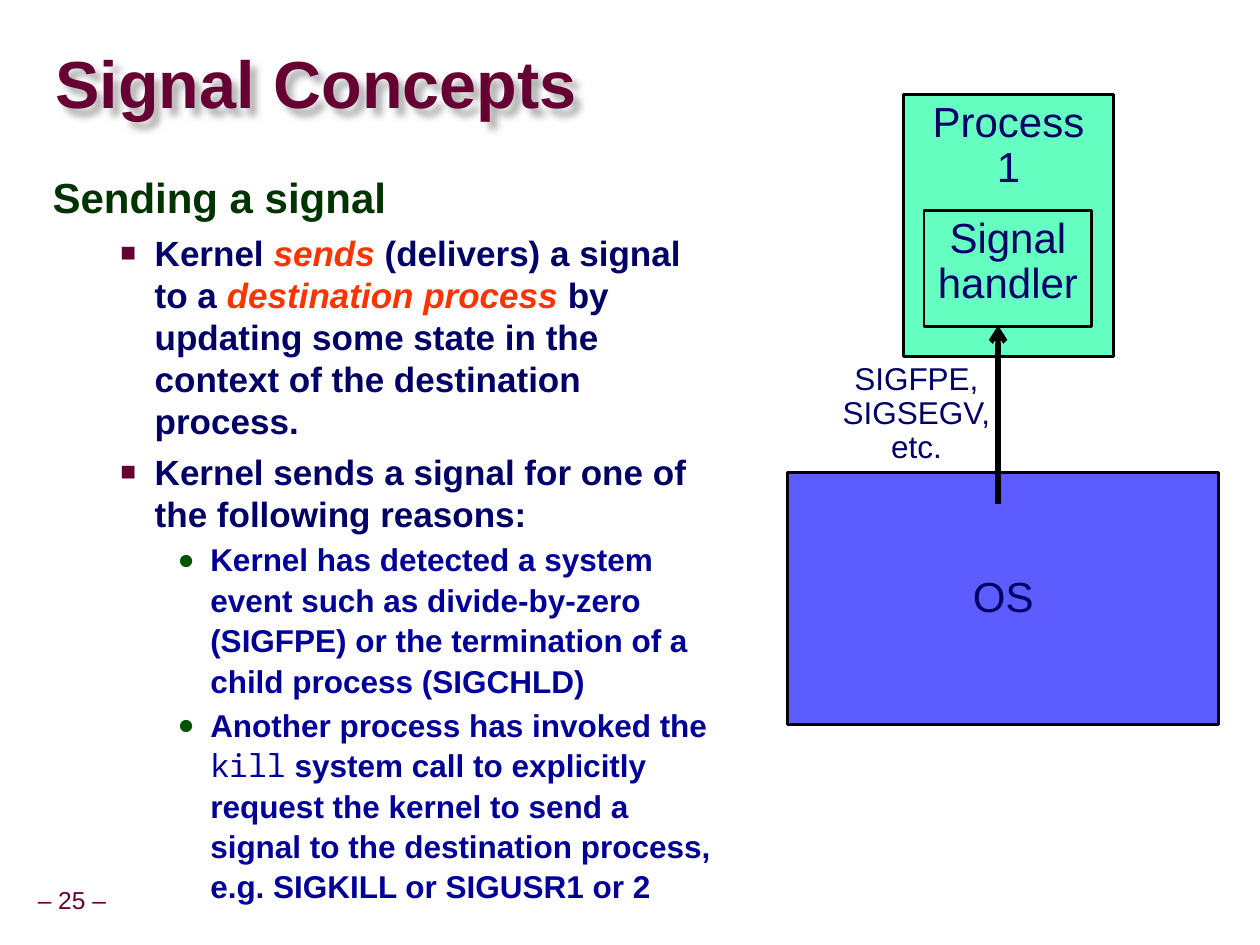
from lxml import etree
from pptx import Presentation
from pptx import util as u
from pptx.dml.color import RGBColor
from pptx.enum import shapes, text
from pptx.oxml import ns

COLORS = {
    "maroon": "660033", "heading": "003300", "navy": "000066",
    "blue": "000099", "accent": "FF3300", "dot": "005400",
    "os": "5C5CFF", "process": "66FFC2", "black": "000000", "shadow": "808080",
}
CENTER = text.PP_ALIGN.CENTER
TOP, MIDDLE = text.MSO_ANCHOR.TOP, text.MSO_ANCHOR.MIDDLE


def add_element(parent, tag, **attributes):
    child = etree.SubElement(parent, ns.qn(tag))
    for key, value in attributes.items():
        child.set(key, str(value))
    return child


def write(shape, content, size, color, bold=False, align=CENTER,
          anchor=TOP, inset=0.13, spacing=0.9, wrap=False):
    frame = shape.text_frame
    frame.text = content
    frame.word_wrap = wrap
    frame.vertical_anchor = anchor
    frame.margin_left = frame.margin_right = u.Cm(inset)
    frame.margin_top = frame.margin_bottom = u.Cm(min(inset, 0.13))
    for line in frame.paragraphs:
        line.alignment = align
        line.line_spacing = spacing
        for run in line.runs:
            run.font.name = "Arial"
            run.font.size = u.Pt(size)
            run.font.bold = bold
            run.font.color.rgb = RGBColor.from_string(COLORS[color])


deck = Presentation()
deck.slide_width, deck.slide_height = u.Cm(25.4), u.Cm(19.05)
slide = deck.slides.add_slide(deck.slide_layouts[6])

# Page number
page_number = slide.shapes.add_textbox(u.Cm(0.61), u.Cm(17.78), u.Cm(1.68), u.Cm(0.79))
write(page_number, "– 25 –", 14, "maroon", anchor=MIDDLE)

# Title with a soft shadow
title = slide.shapes.add_textbox(u.Cm(1.12), u.Cm(0.69), u.Cm(24.2), u.Cm(2.16))
write(title, "Signal Concepts", 38, "maroon", bold=True, align=text.PP_ALIGN.LEFT,
      anchor=MIDDLE, inset=0, spacing=0.87, wrap=True)
effects = add_element(title._element.spPr, "a:effectLst")
shadow = add_element(effects, "a:outerShdw", blurRad=50800, dist=63500, dir=2700000)
shade = add_element(shadow, "a:srgbClr", val=COLORS["shadow"])
add_element(shade, "a:alpha", val=60000)

# Outline: runs are (words, style)
outline = [
    (0, [("Sending a signal", "")]),
    (1, [("Kernel ", ""), ("sends", "accent"), (" (delivers) a signal to a ", ""),
         ("destination process", "accent"),
         (" by updating some state in the context of the destination process.", "")]),
    (1, [("Kernel sends a signal for one of the following reasons:", "")]),
    (2, [("Kernel has detected a system event such as divide-by-zero (SIGFPE) "
          "or the termination of a child process (SIGCHLD)", "")]),
    (2, [("Another process has invoked the ", ""), ("kill", "code"),
         (" system call to explicitly request the kernel to send a signal to "
          "the destination process, e.g. SIGKILL or SIGUSR1 or 2", "")]),
]
# Per level: size, colour, left margin, hanging indent, line spacing, space before, bullet
levels = [
    (24, "heading", 1.07, 1.07, 0.95, 0, None),
    (20, "navy", 2.06, 0.69, 1.0, 5, ("■", "maroon", 75)),
    (18, "blue", 3.18, 0.66, 1.07, 2, ("●", "dot", 90)),
]
body = slide.shapes.add_textbox(u.Cm(0.81), u.Cm(3.4), u.Cm(13.79), u.Cm(14.5))
body_frame = body.text_frame
body_frame.word_wrap = True
for index, (level, parts) in enumerate(outline):
    size, color, margin, hanging, spacing, before, bullet = levels[level]
    point = body_frame.add_paragraph() if index else body_frame.paragraphs[0]
    point.level = level
    properties = point._p.get_or_add_pPr()
    properties.set("marL", str(u.Cm(margin)))
    properties.set("indent", str(-u.Cm(hanging)))
    if bullet:
        mark, mark_color, percent = bullet
        add_element(add_element(properties, "a:buClr"), "a:srgbClr", val=COLORS[mark_color])
        add_element(properties, "a:buSzPct", val=percent * 1000)
        add_element(properties, "a:buFont", typeface="Arial")
        add_element(properties, "a:buChar", char=mark)
    else:
        add_element(properties, "a:buNone")
    point.line_spacing = spacing
    if before:
        point.space_before = u.Pt(before)
    for words, style in parts:
        run = point.add_run()
        run.text = words
        run.font.name = "Noto Sans Mono" if style == "code" else "Arial"
        run.font.size = u.Pt(size)
        run.font.bold = style != "code"
        run.font.italic = style == "accent"
        run.font.color.rgb = RGBColor.from_string(COLORS["accent" if style == "accent" else color])

# Boxes: operating system, process and its handler
boxes = [
    ("OS", "os", MIDDLE, 15.88, 9.53, 8.69, 5.08),
    ("Process\n1", "process", TOP, 18.21, 1.91, 4.24, 5.28),
    ("Signal\nhandler", "process", TOP, 18.63, 4.24, 3.38, 2.34),
]
for label, fill, anchor, left, top, width, height in boxes:
    box = slide.shapes.add_shape(shapes.MSO_SHAPE.RECTANGLE,
                                 u.Cm(left), u.Cm(top), u.Cm(width), u.Cm(height))
    box.shadow.inherit = False
    box.fill.solid()
    box.fill.fore_color.rgb = RGBColor.from_string(COLORS[fill])
    box.line.color.rgb = RGBColor.from_string(COLORS["black"])
    box.line.width = u.Pt(1.5)
    write(box, label, 24, "navy", anchor=anchor)

# Arrow from the OS to the handler
arrow = slide.shapes.add_connector(shapes.MSO_CONNECTOR.STRAIGHT,
                                   u.Cm(20.12), u.Cm(10.16), u.Cm(20.12), u.Cm(6.56))
arrow.line.color.rgb = RGBColor.from_string(COLORS["black"])
arrow.line.width = u.Pt(3)
add_element(arrow.line._get_or_add_ln(), "a:tailEnd", type="arrow")
add_element(arrow._element.spPr, "a:effectLst")

# Signal names beside the arrow
signals = slide.shapes.add_textbox(u.Cm(16.71), u.Cm(7.19), u.Cm(3.53), u.Cm(2.34))
write(signals, "SIGFPE,\nSIGSEGV,\netc.", 18, "navy", inset=0.25)

deck.save("out.pptx")
